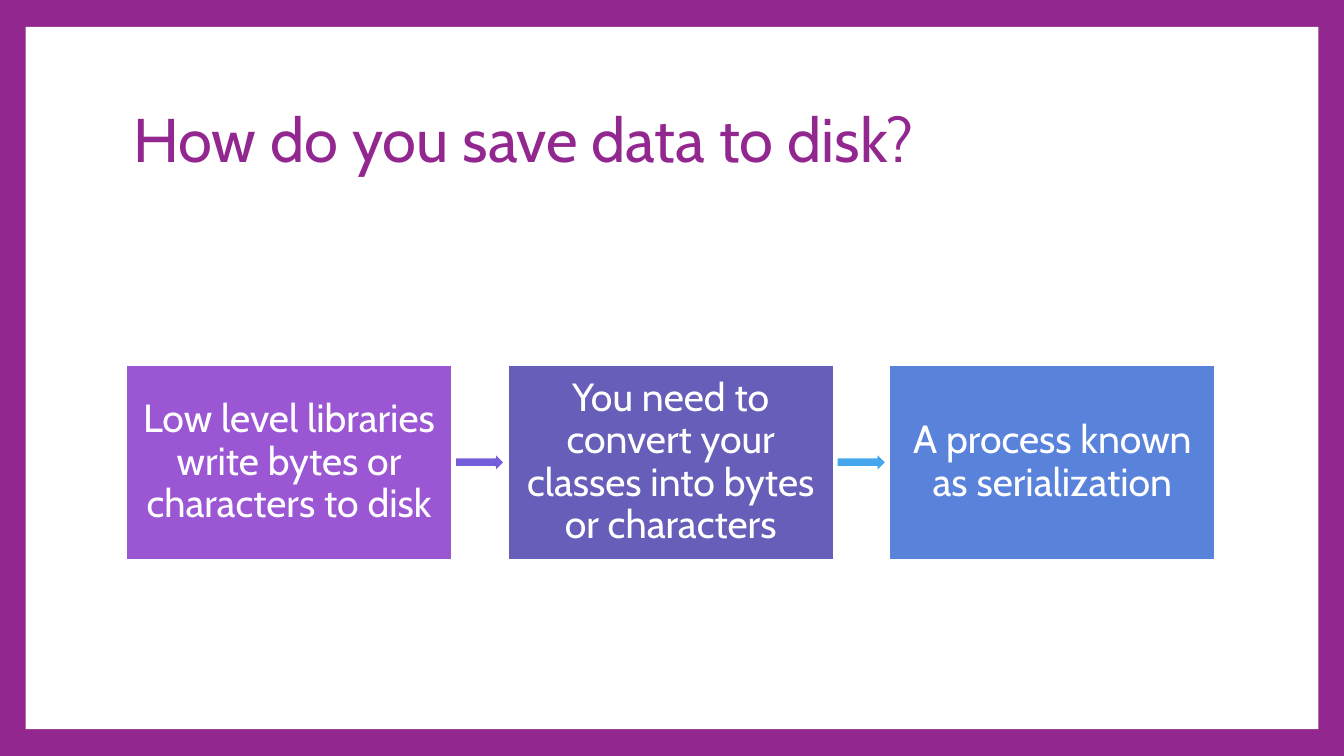
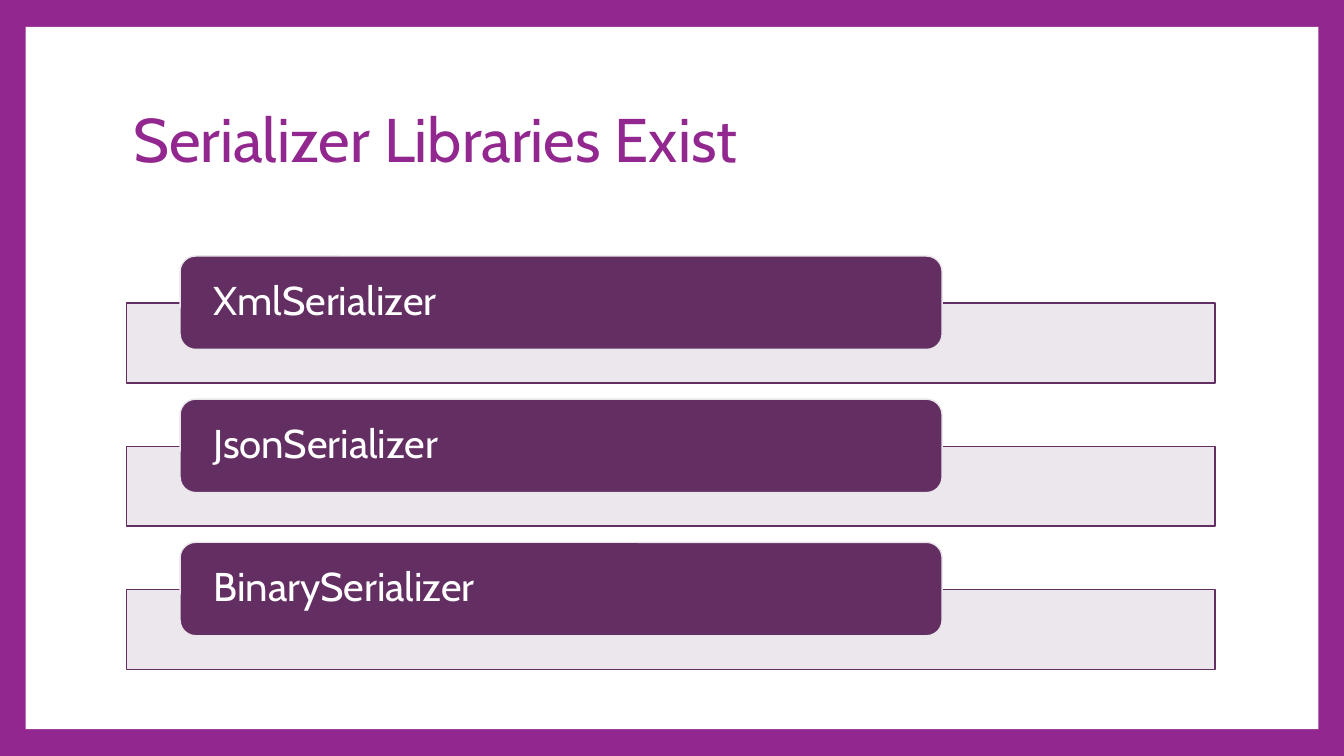
from lxml.etree import SubElement
from pptx import Presentation
from pptx.dml.color import RGBColor
from pptx.enum.shapes import MSO_SHAPE as Preset
from pptx.enum.text import MSO_ANCHOR as Anchor, MSO_AUTO_SIZE as AutoSize, PP_ALIGN as Align
from pptx.oxml.ns import qn
from pptx.util import Inches, Pt

WHITE = RGBColor(0xFF, 0xFF, 0xFF)
MAGENTA = RGBColor(0x92, 0x27, 0x8F)
PLUM = RGBColor(0x63, 0x2E, 0x62)
MIST = RGBColor(0xEA, 0xE5, 0xEB)
STEP_FILLS = [RGBColor(0x9B, 0x57, 0xD3), RGBColor(0x66, 0x5E, 0xB8), RGBColor(0x59, 0x82, 0xDB)]
ARROW_FILLS = [RGBColor(0x75, 0x5D, 0xD9), RGBColor(0x45, 0xA5, 0xED)]

FONT = "Cabin"
WIDTH, HEIGHT = 20, 11.25
BORDER_X, BORDER_Y = 0.38, 0.4
LEFT, CONTENT_WIDTH = 1.88, 16.2
TITLE_ONLY = 5

STEPS = [
    "Low level libraries write bytes or characters to disk",
    "You need to convert your classes into bytes or characters",
    "A process known as serialization",
]
LIBRARIES = ["XmlSerializer", "JsonSerializer", "BinarySerializer"]


def set_attributes(target, values):
    """Set every attribute named in a dict of format values."""
    for name, value in values.items():
        setattr(target, name, value)


def write_text(shape, text, size, color, align=Align.LEFT, inset_x=0.1, inset_y=0.05):
    """Write one middle-anchored paragraph into a shape."""
    frame = shape.text_frame
    set_attributes(frame, {
        "text": text, "word_wrap": True, "auto_size": AutoSize.NONE,
        "vertical_anchor": Anchor.MIDDLE,
        "margin_left": Inches(inset_x), "margin_right": Inches(inset_x),
        "margin_top": Inches(inset_y), "margin_bottom": Inches(inset_y),
    })
    paragraph = frame.paragraphs[0]
    set_attributes(paragraph, {"alignment": align, "line_spacing": 0.9})
    font = paragraph.runs[0].font
    set_attributes(font, {"name": FONT, "size": Pt(size)})
    font.color.rgb = color


def add_block(slide, preset, box, fill, line=None, opacity=100):
    """Add a flat preset shape; box is left, top, width, height in inches."""
    shape = slide.shapes.add_shape(preset, *map(Inches, box))
    shape.shadow.inherit = False
    shape.fill.solid()
    shape.fill.fore_color.rgb = fill
    if opacity < 100:
        color = shape.element.spPr.find(qn("a:solidFill"))[0]
        SubElement(color, qn("a:alpha"), val=str(opacity * 1000))
    if line is None:
        shape.line.fill.background()
    else:
        shape.line.color.rgb = line
        shape.line.width = Pt(1.5)
    return shape


def add_titled_slide(presentation, title):
    """Add a title-only slide with the shared title style."""
    slide = presentation.slides.add_slide(presentation.slide_layouts[TITLE_ONLY])
    placeholder = slide.shapes.title
    set_attributes(placeholder, {
        "left": Inches(LEFT), "top": Inches(1),
        "width": Inches(CONTENT_WIDTH), "height": Inches(2.23),
    })
    write_text(placeholder, title, 66, MAGENTA)
    return slide


def frame_layout(presentation, slide):
    """Give the shared layout its magenta border around a white panel."""
    layout = presentation.slide_layouts[TITLE_ONLY]
    layout.background.fill.solid()
    layout.background.fill.fore_color.rgb = MAGENTA
    box = (BORDER_X, BORDER_Y, WIDTH - 2 * BORDER_X, HEIGHT - 2 * BORDER_Y)
    panel = add_block(slide, Preset.RECTANGLE, box, WHITE)
    panel.element.nvSpPr.cNvPr.id = 99
    layout.element.cSld.spTree.insert(2, panel.element)


def add_process(slide, steps):
    """Add a row of step boxes, with an arrow centred in each gap."""
    top, width, height = 5.43, 4.84, 2.9
    arrow_width, arrow_height = 0.73, 0.27
    pitch = (CONTENT_WIDTH - width) / (len(steps) - 1)
    arrow_offset = (width + pitch - arrow_width) / 2
    arrow_top = top + (height - arrow_height) / 2
    for column, step in enumerate(steps):
        left = LEFT + column * pitch
        box = add_block(slide, Preset.RECTANGLE, (left, top, width, height),
                        STEP_FILLS[column], WHITE)
        write_text(box, step, 42, WHITE, Align.CENTER, 0.17, 0.17)
        if column < len(steps) - 1:
            add_block(slide, Preset.RIGHT_ARROW,
                      (left + arrow_offset, arrow_top, arrow_width, arrow_height),
                      ARROW_FILLS[column], WHITE)


def add_label_list(slide, labels):
    """Add pale bands, each overlapped by a rounded label."""
    first_top, pitch = 3.81, 2.13
    for row, label in enumerate(labels):
        top = first_top + row * pitch
        add_block(slide, Preset.RECTANGLE, (LEFT, top + 0.7, CONTENT_WIDTH, 1.19),
                  MIST, PLUM, opacity=90)
        tab = add_block(slide, Preset.ROUNDED_RECTANGLE,
                        (LEFT + 0.8, top, CONTENT_WIDTH * 0.7, 1.39), PLUM, MIST)
        write_text(tab, label, 43, WHITE, inset_x=0.43, inset_y=0)


def main():
    """Build both slides and save them."""
    presentation = Presentation()
    set_attributes(presentation, {"slide_width": Inches(WIDTH), "slide_height": Inches(HEIGHT)})

    process_slide = add_titled_slide(presentation, "How do you save data to disk?")
    frame_layout(presentation, process_slide)
    add_process(process_slide, STEPS)

    library_slide = add_titled_slide(presentation, "Serializer Libraries Exist")
    add_label_list(library_slide, LIBRARIES)

    presentation.save("out.pptx")


main()
